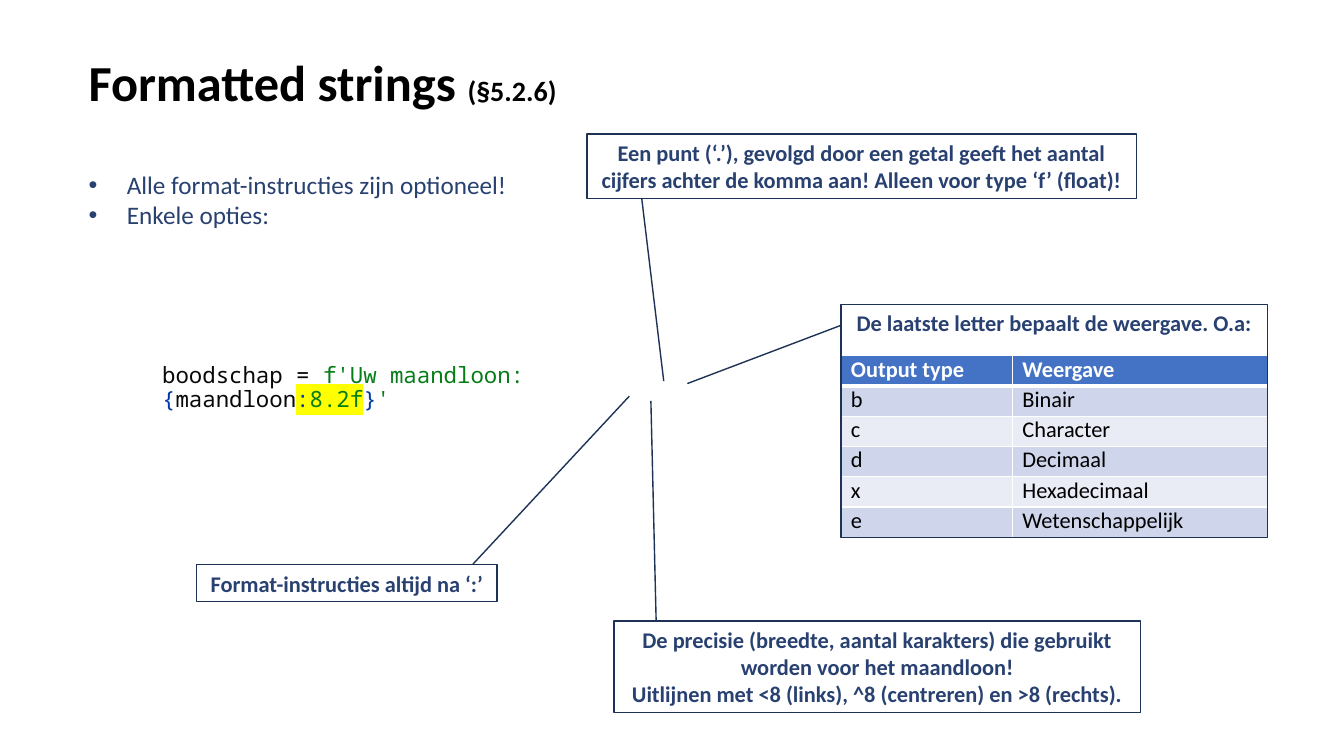
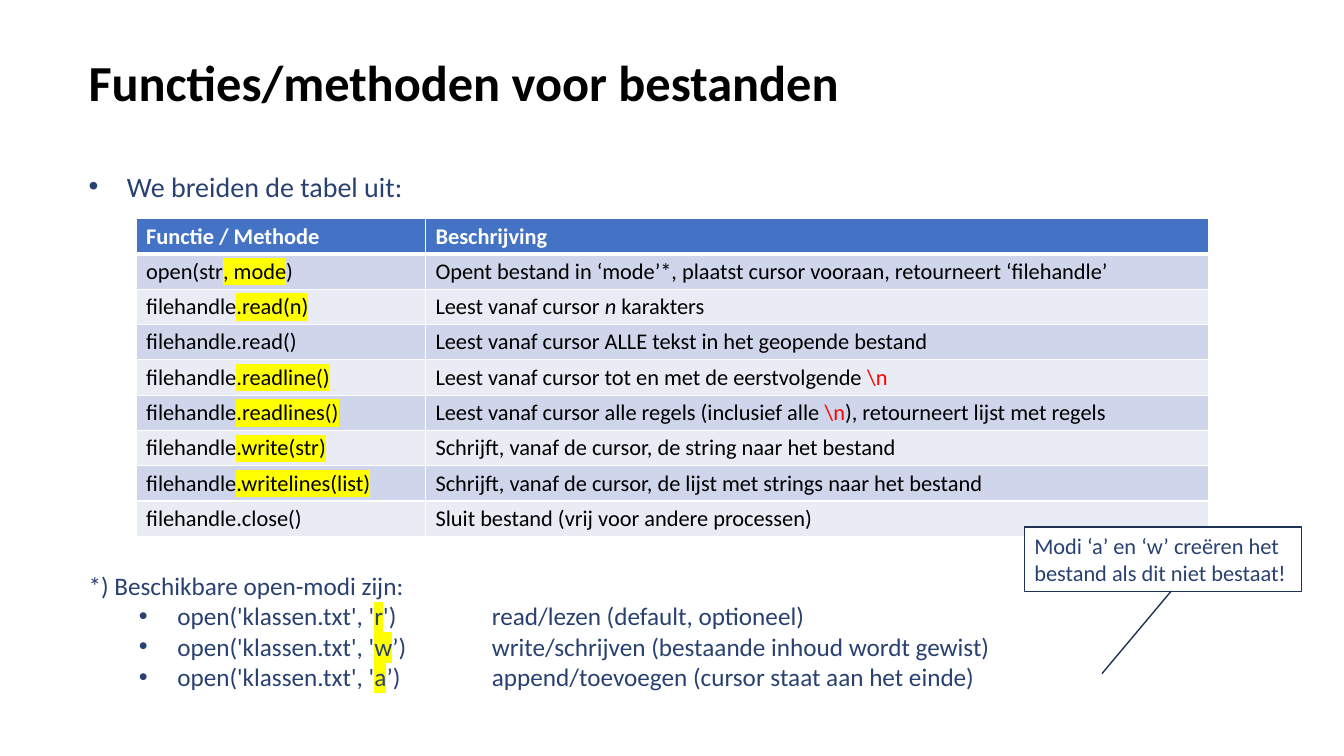
"""Builds two slides on formatted strings and file methods."""
from lxml import etree
from pptx import Presentation
from pptx.dml.color import RGBColor
from pptx.enum.shapes import MSO_SHAPE
from pptx.enum.text import MSO_ANCHOR, PP_ALIGN
from pptx.oxml.ns import qn
from pptx.util import Inches, Pt

CALLOUT = MSO_SHAPE.LINE_CALLOUT_1
TOP, MIDDLE = MSO_ANCHOR.TOP, MSO_ANCHOR.MIDDLE
LEFT, CENTER = PP_ALIGN.LEFT, PP_ALIGN.CENTER

COLORS = {
    "black": "000000", "white": "FFFFFF", "navy": "294171", "edge": "1E3256",
    "head": "4472C4", "odd": "CFD5EA", "even": "E9EBF5", "mark": "FFFF00",
    "red": "FF0000", "code": "080808", "string": "067D17", "brace": "0037A6",
}
BASE = {"name": "Calibri", "size": Pt(16), "bold": False, "color": "black"}
TITLE = {**BASE, "size": Pt(36), "bold": True}
BODY = {**BASE, "size": Pt(18), "color": "navy"}
NOTE = {**BASE, "color": "navy"}
STRONG = {**NOTE, "bold": True}
HEAD = {**BASE, "bold": True, "color": "white"}
CODE = {**BASE, "name": "Noto Sans Mono", "color": "code"}
MARK = {"mark": "mark"}
RED = {"color": "red"}


def color(name):
    """Return the named colour."""
    return RGBColor.from_string(COLORS[name])


def add_run(para, piece, style):
    """Add a string, or a string with its own format, to a paragraph."""
    text, extra = (piece, {}) if isinstance(piece, str) else piece
    run = para.add_run()
    run.text = text
    look = {**style, **extra}
    run.font.color.rgb = color(look.pop("color"))
    mark = look.pop("mark", None)
    for key, value in look.items():
        setattr(run.font, key, value)
    if mark:
        light = etree.Element(qn("a:highlight"))
        etree.SubElement(light, qn("a:srgbClr"), val=COLORS[mark])
        run._r.get_or_add_rPr().find(qn("a:solidFill")).addnext(light)


def add_bullet(para, indent):
    """Give a paragraph a hanging bullet."""
    props = para._p.get_or_add_pPr()
    props.set("marL", str(Inches(indent)))
    props.set("indent", str(Inches(-0.38)))
    etree.SubElement(props, qn("a:buFont"), typeface="Arial")
    etree.SubElement(props, qn("a:buChar"), char="•")


def fill_text(frame, lines, style, align=LEFT, anchor=TOP, indents=()):
    """Write lines of pieces into a frame; an indent makes a bullet."""
    frame.word_wrap = True
    frame.vertical_anchor = anchor
    for num, line in enumerate(lines):
        para = frame.paragraphs[0] if num == 0 else frame.add_paragraph()
        para.alignment = align
        if num < len(indents) and indents[num]:
            add_bullet(para, indents[num])
        for piece in [line] if isinstance(line, str) else line:
            add_run(para, piece, style)


def add_text(slide, box, lines, style, **layout):
    """Add a text box."""
    frame = slide.shapes.add_textbox(*map(Inches, box)).text_frame
    fill_text(frame, lines, style, **layout)
    return frame


def add_title(slide, *pieces):
    """Add the slide title."""
    add_text(slide, (0.78, 0, 8.5, 1.61), [pieces], TITLE, anchor=MIDDLE)


def add_callout(slide, box, points, lines, style=STRONG, align=CENTER,
                anchor=MIDDLE, fill=None):
    """Add a framed note with a pointer line."""
    shape = slide.shapes.add_shape(CALLOUT, *map(Inches, box))
    shape.shadow.inherit = False
    for num, value in enumerate(points):
        shape.adjustments[num] = value
    if fill:
        shape.fill.solid()
        shape.fill.fore_color.rgb = color(fill)
    else:
        shape.fill.background()
    shape.line.color.rgb = color("edge")
    shape.line.width = Pt(1)
    fill_text(shape.text_frame, lines, style, align, anchor)


def add_edges(cell, row):
    """Draw white cell borders, thick below the header."""
    props = cell._tc.get_or_add_tcPr()
    thick = {"lnB": 0, "lnT": 1}
    for side in ("lnL", "lnR", "lnT", "lnB"):
        width = Pt(3 if thick.get(side) == row else 1)
        line = etree.SubElement(props, qn("a:" + side), w=str(width))
        solid = etree.SubElement(line, qn("a:solidFill"))
        etree.SubElement(solid, qn("a:srgbClr"), val=COLORS["white"])


def add_table(slide, box, widths, rows, pad):
    """Add a banded table with a header row."""
    size = len(rows), len(widths)
    table = slide.shapes.add_table(*size, *map(Inches, box)).table
    for col, width in zip(table.columns, widths):
        col.width = Inches(width)
    for r, row in enumerate(rows):
        table.rows[r].height = Inches(box[3] / len(rows))
        for c, line in enumerate(row):
            cell = table.cell(r, c)
            cell.margin_top = cell.margin_bottom = Inches(pad)
            add_edges(cell, r)
            cell.fill.solid()
            band = "odd" if r % 2 else "even"
            cell.fill.fore_color.rgb = color(band if r else "head")
            fill_text(cell.text_frame, [line], BASE if r else HEAD)


def add_strings(slide):
    """Build the slide on formatted strings."""
    add_title(slide, "Formatted strings ", ("(§5.2.6)", {"size": Pt(20)}))
    green, blue = {"color": "string"}, {"color": "brace"}
    code = [
        "boodschap = ", ("f'Uw maandloon: ", green), ("{", blue), "maandloon",
        (":", {**blue, **MARK}), ("8.2f", {**green, **MARK}),
        ("}", blue), ("'", green),
    ]
    frame = add_text(slide, (1.51, 3.67, 5.72, 0.37), [code], CODE,
                     anchor=MIDDLE)
    frame.paragraphs[0].line_spacing = 0.9
    add_callout(slide, (1.95, 5.6, 2.98, 0.37), (-0.01, 0.92, -4.51, 1.44),
                ["Format-instructies altijd na ‘:’"])
    add_callout(slide, (6.09, 6.16, 5.22, 0.91), (-0.01, 0.08, -2.4, 0.07), [
        "De precisie (breedte, aantal karakters) die gebruikt "
        "worden voor het maandloon!",
        "Uitlijnen met <8 (links), ^8 (centreren) en >8 (rechts).",
    ])
    add_callout(slide, (5.82, 1.33, 5.45, 0.64), (1, 0.1, 3.83, 0.14), [
        "Een punt (‘.’), gevolgd door een getal geeft het aantal "
        "cijfers achter de komma aan! Alleen voor type ‘f’ (float)!"
    ])
    rows = [
        ("Output type", "Weergave"), ("b", "Binair"), ("c", "Character"),
        ("d", "Decimaal"), ("x", "Hexadecimaal"), ("e", "Wetenschappelijk"),
    ]
    add_table(slide, (8.34, 3.53, 4.23, 1.8), (1.7, 2.53), rows, 0)
    add_callout(slide, (8.34, 3.02, 4.23, 2.31), (0.09, 0, 0.34, -0.36),
                ["De laatste letter bepaalt de weergave. O.a:"], anchor=TOP)
    add_text(slide, (0.78, 1.63, 5.45, 0.98),
             ["Alle format-instructies zijn optioneel!", "Enkele opties:"],
             BODY, indents=(0.38, 0.38))


def add_files(slide):
    """Build the slide on file methods."""
    add_title(slide, "Functies/methoden voor bestanden")

    def call(name):
        """Return a file call with its method marked."""
        return ["filehandle", (name, MARK)]

    rows = [
        ("Functie / Methode", "Beschrijving"),
        (["open(str", (", mode", MARK), ")"],
         "Opent bestand in ‘mode’*, plaatst cursor vooraan, "
         "retourneert ‘filehandle’"),
        (call(".read(n)"),
         ["Leest vanaf cursor ", ("n", {"italic": True}), " karakters"]),
        ("filehandle.read()",
         "Leest vanaf cursor ALLE tekst in het geopende bestand"),
        (call(".readline()"),
         ["Leest vanaf cursor tot en met de eerstvolgende ", ("\\n", RED)]),
        (call(".readlines()"),
         ["Leest vanaf cursor alle regels (inclusief alle ", ("\\n", RED),
          "), retourneert lijst met regels"]),
        (call(".write(str)"),
         "Schrijft, vanaf de cursor, de string naar het bestand"),
        (call(".writelines(list)"),
         "Schrijft, vanaf de cursor, de lijst met strings naar het bestand"),
        ("filehandle.close()", "Sluit bestand (vrij voor andere processen)"),
    ]
    add_table(slide, (1.35, 2.17, 10.64, 3.15), (2.87, 7.77), rows, 0.04)
    add_text(slide, (0.78, 1.63, 11.08, 0.51), ["We breiden de tabel uit:"],
             {**BODY, "size": Pt(20)}, indents=(0.38,))
    modes = [
        ("r", "')", "read/lezen (default, optioneel)"),
        ("w", "’)", "write/schrijven (bestaande inhoud wordt gewist)"),
        ("a", "’)", "append/toevoegen (cursor staat aan het einde)"),
    ]
    lines = [["open('klassen.txt', '", (mode, MARK), f"{end}\t\t{use}"]
             for mode, end, use in modes]
    add_text(slide, (0.78, 5.61, 11.08, 1.55),
             ["*) Beschikbare open-modi zijn:", *lines], BODY,
             indents=(0, 0.88, 0.88, 0.88))
    add_callout(slide, (10.16, 5.23, 2.75, 0.64), (0.99, 0.53, 2.27, 0.28),
                ["Modi ‘a’ en ‘w’ creëren het bestand als dit niet bestaat!"],
                style=NOTE, align=LEFT, fill="white")


def main():
    """Build and save the deck."""
    deck = Presentation()
    deck.slide_width, deck.slide_height = Inches(13.33), Inches(7.5)
    for build in (add_strings, add_files):
        build(deck.slides.add_slide(deck.slide_layouts[6]))
    deck.save("out.pptx")


if __name__ == "__main__":
    main()
